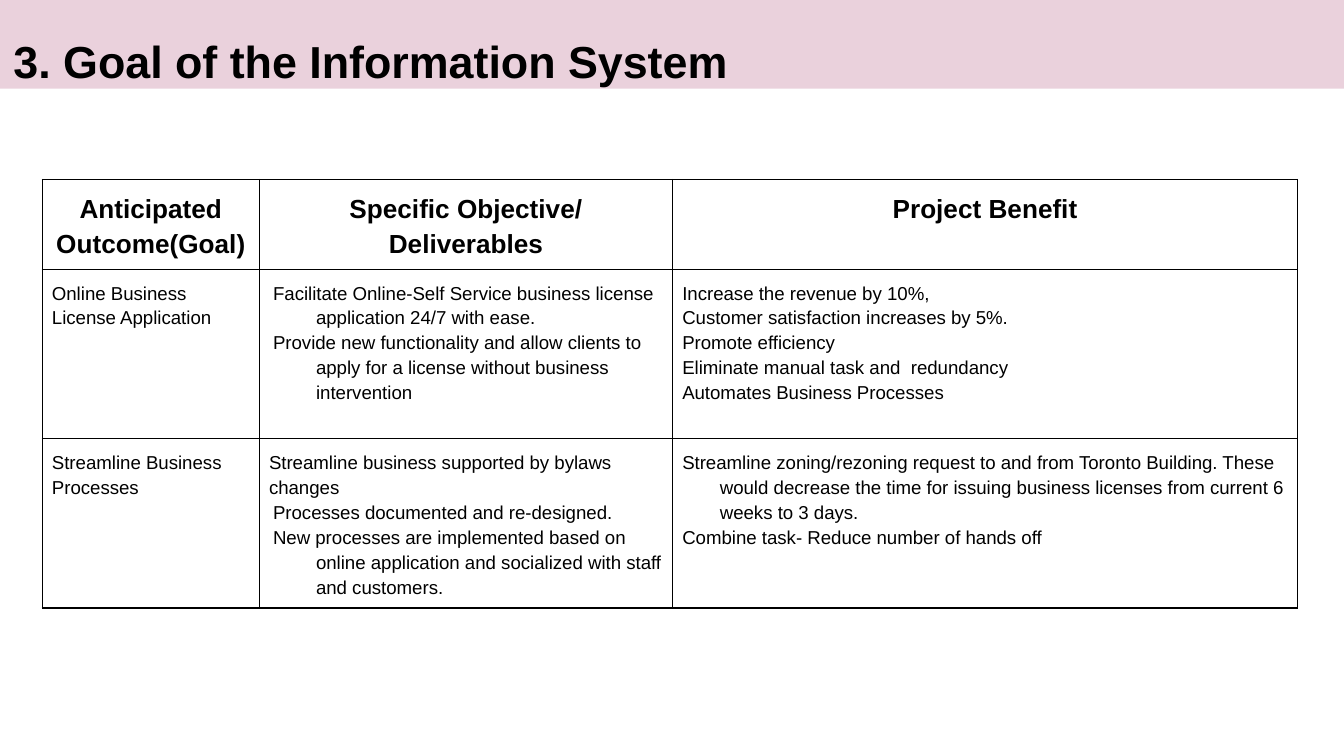
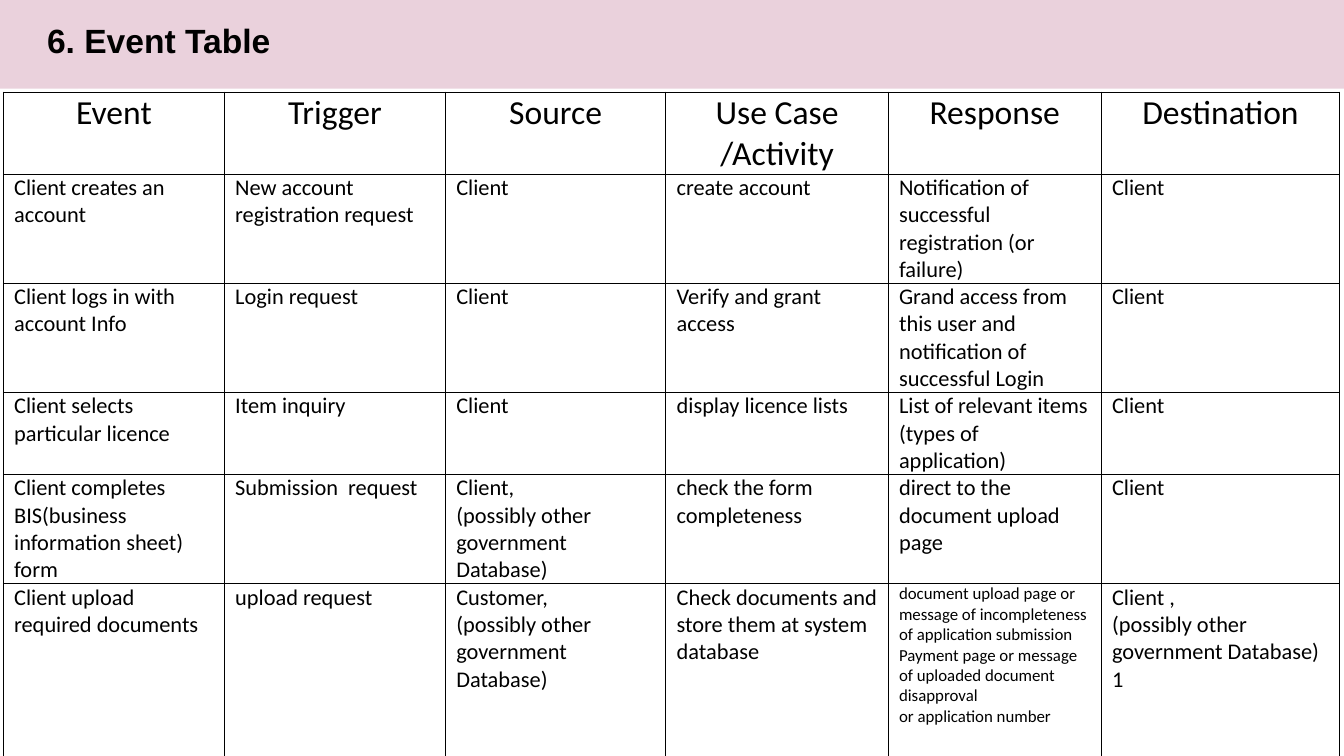
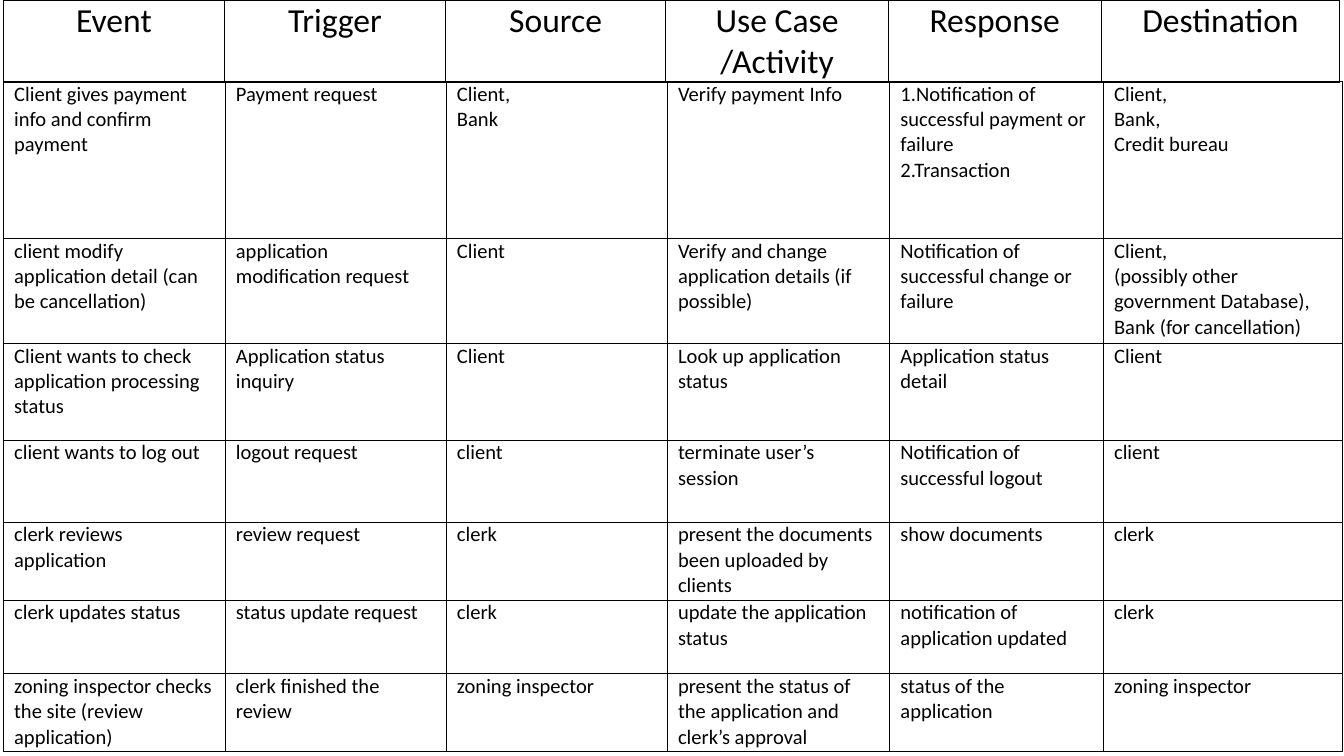
from pptx import Presentation
from pptx.dml.color import RGBColor as RGB
from pptx.enum.text import MSO_ANCHOR as Anchor, MSO_AUTO_SIZE as AutoSize, PP_ALIGN as Align
from pptx.oxml import parse_xml
from pptx.oxml.ns import nsdecls
from pptx.util import Inches, Pt

COLORS = {"band": "EAD1DC", "ink": "000000"}
GRID_COLS, GRID_ROWS = 100, 56.25
TITLE_ONLY, BLANK = 5, 6
BAND_ROWS = 6.6
FRAME = 32.8

GOAL_COLS = [16.15, 30.75, 46.5]
EVENT_COLS = [16.45, 16.45, 16.4, 16.55, 15.85, 17.75]
LATER_COLS = [16.5, 16.45, 16.45, 16.55, 15.9, 17.8]
EVENT_HEAD = ["Event", "Trigger", "Source", "Use Case /Activity", "Response", "Destination"]

GOALS = [
    ["Anticipated Outcome(Goal)", "Specific Objective/ Deliverables", "Project Benefit"],
    ["Online Business License Application",
     "Facilitate Online-Self Service business license application 24/7 with ease.\n"
     "Provide new functionality and allow clients to apply for a license without business intervention",
     "Increase the revenue by 10%,\nCustomer satisfaction increases by 5%.\nPromote efficiency\n"
     "Eliminate manual task and  redundancy\nAutomates Business Processes"],
    ["Streamline Business Processes",
     "Streamline business supported by bylaws changes\nProcesses documented and re-designed.\n"
     "New processes are implemented based on online application and socialized with staff and customers.",
     "Streamline zoning/rezoning request to and from Toronto Building. These would decrease the time "
     "for issuing business licenses from current 6 weeks to 3 days.\n"
     "Combine task- Reduce number of hands off"],
]

CLIENT_EVENTS = [
    ["Client creates an account", "New account registration request", "Client", "create account",
     "Notification of successful registration (or failure)", "Client"],
    ["Client logs in with account Info", "Login request", "Client", "Verify and grant access",
     "Grand access from this user and notification of successful Login", "Client"],
    ["Client selects particular licence", "Item inquiry", "Client", "display licence lists",
     "List of relevant items (types of application)", "Client"],
    ["Client completes BIS(business information sheet) form", "Submission  request",
     "Client,\n(possibly other government Database)", "check the form completeness",
     "direct to the document upload page", "Client"],
    ["Client upload required documents", "upload request",
     "Customer,\n(possibly other government Database)",
     "Check documents and store them at system database",
     "document upload page or message of incompleteness of application submission\n"
     "Payment page or message of uploaded document disapproval\nor application number",
     "Client ,\n(possibly other government Database)\n1"],
]

LATER_EVENTS = [
    ["Client gives payment info and confirm payment", "Payment request", "Client,\nBank",
     "Verify payment Info", "1.Notification of successful payment or failure\n2.Transaction",
     "Client,\nBank,\nCredit bureau"],
    ["client modify application detail (can be cancellation)", "application\nmodification request",
     "Client", "Verify and change application details (if possible)",
     "Notification of successful change or failure",
     "Client,\n(possibly other government Database),\nBank (for cancellation)"],
    ["Client wants to check application processing status", "Application status inquiry", "Client",
     "Look up application status", "Application status detail", "Client"],
    ["client wants to log out", "logout request", "client", "terminate user’s session",
     "Notification of successful logout", "client"],
    ["clerk reviews application", "review request", "clerk",
     "present the documents been uploaded by clients", "show documents", "clerk"],
    ["clerk updates status", "status update request", "clerk", "update the application status",
     "notification of application updated", "clerk"],
    ["zoning inspector checks the site (review application)", "clerk finished the review",
     "zoning inspector", "present the status of the application and clerk’s approval",
     "status of the application", "zoning inspector"],
]


class Deck:
    def __init__(self):
        self.prs = Presentation()
        self.prs.slide_width = Inches(10)
        self.prs.slide_height = Inches(10) * 9 // 16
        self.s = None

    def x(self, cols):
        return round(self.prs.slide_width * cols / GRID_COLS)

    def y(self, rows):
        return round(self.prs.slide_height * rows / GRID_ROWS)

    def slide(self, layout):
        self.s = self.prs.slides.add_slide(self.prs.slide_layouts[layout])

    def font(self, p, name, size, bold=False):
        for r in p.runs:
            r.font.name, r.font.size, r.font.bold = name, Pt(size), bold
            r.font.color.rgb = RGB.from_string(COLORS["ink"])

    def indent(self, p, left, first=0):
        pPr = p._p.get_or_add_pPr()
        pPr.set("marL", str(self.x(left)))
        pPr.set("indent", str(self.x(first)))

    def hang(self, paragraphs, left):
        for p in paragraphs:
            self.indent(p, left, -3.2)

    def title(self, text, size, spacing, left=0):
        sp = self.s.shapes.title
        sp.left, sp.top, sp.width, sp.height = 0, 0, self.x(GRID_COLS), self.y(BAND_ROWS)
        sp.fill.solid()
        sp.fill.fore_color.rgb = RGB.from_string(COLORS["band"])
        tf = sp.text_frame
        tf.text = text
        tf.word_wrap, tf.auto_size, tf.vertical_anchor = True, AutoSize.NONE, Anchor.TOP
        tf.margin_left = tf.margin_right = self.x(1)
        tf.margin_top = tf.margin_bottom = self.y(1)
        p = tf.paragraphs[0]
        p.alignment, p.line_spacing = Align.LEFT, spacing
        self.indent(p, left)
        self.font(p, "Arial", size, True)

    def border(self, cell, width):
        tcPr = cell._tc.get_or_add_tcPr()
        for i, side in enumerate("LRTB"):
            tcPr.insert(i, parse_xml(
                f'<a:ln{side} {nsdecls("a")} w="{Pt(width)}"><a:solidFill>'
                f'<a:srgbClr val="{COLORS["ink"]}"/></a:solidFill></a:ln{side}>'))

    def table(self, left, top, cols, rows, data, size, font="Calibri", head_size=18,
              head=True, head_bold=False, pad=(0.8, 0), spacing=None, line=0.5):
        frame = self.s.shapes.add_table(len(rows), len(cols), self.x(left), self.y(top),
                                        self.x(FRAME), self.y(FRAME))
        t = frame.table
        t.first_row = t.horz_banding = False
        for col, width in zip(t.columns, cols):
            col.width = self.x(width)
        for i, (row, height, texts) in enumerate(zip(t.rows, rows, data)):
            row.height = self.y(height)
            is_head = head and i == 0
            for cell, text in zip(row.cells, texts):
                cell.text_frame.text = text
                cell.fill.background()
                cell.margin_left = cell.margin_right = self.x(pad[0])
                cell.margin_top = cell.margin_bottom = self.y(pad[1])
                self.border(cell, line)
                for p in cell.text_frame.paragraphs:
                    p.alignment = Align.CENTER if is_head else Align.LEFT
                    p.line_spacing = spacing
                    self.font(p, font, head_size if is_head else size, is_head and head_bold)
        frame.width, frame.height = self.x(FRAME), self.y(FRAME)
        return t


def main():
    d = Deck()

    d.slide(TITLE_ONLY)
    goals = d.table(3.15, 13.35, GOAL_COLS, [6.7, 12.6, 12.6], GOALS, 10, "Arial", 14,
                    head_bold=True, pad=(0.72, 0.72), spacing=1.2, line=0.75)
    for row, col, start, left in [(1, 1, 0, 3.5), (2, 1, 1, 3.5), (1, 2, 0, 2.8), (2, 2, 0, 2.8)]:
        d.hang(goals.cell(row, col).text_frame.paragraphs[start:], left)
    d.title("3. Goal of the Information System", 24, 1.38)

    d.slide(TITLE_ONLY)
    events = d.table(0.25, 6.85, EVENT_COLS, [5.8, 7.7, 7.7, 5.7, 7.7, 13.7],
                     [EVENT_HEAD] + CLIENT_EVENTS, 12)
    for p in events.cell(5, 4).text_frame.paragraphs:
        d.font(p, "Calibri", 9)
    d.title("6. Event Table", 18, 1.15, 2.5)

    d.slide(BLANK)
    d.table(0.25, 0, EVENT_COLS, [5.9], [EVENT_HEAD], 18)
    d.table(0.25, 6.05, LATER_COLS, [11.7, 7.8, 7.2, 6.1, 5.8, 5.5, 5.8], LATER_EVENTS, 11, head=False)

    d.prs.save("out.pptx")


if __name__ == "__main__":
    main()
